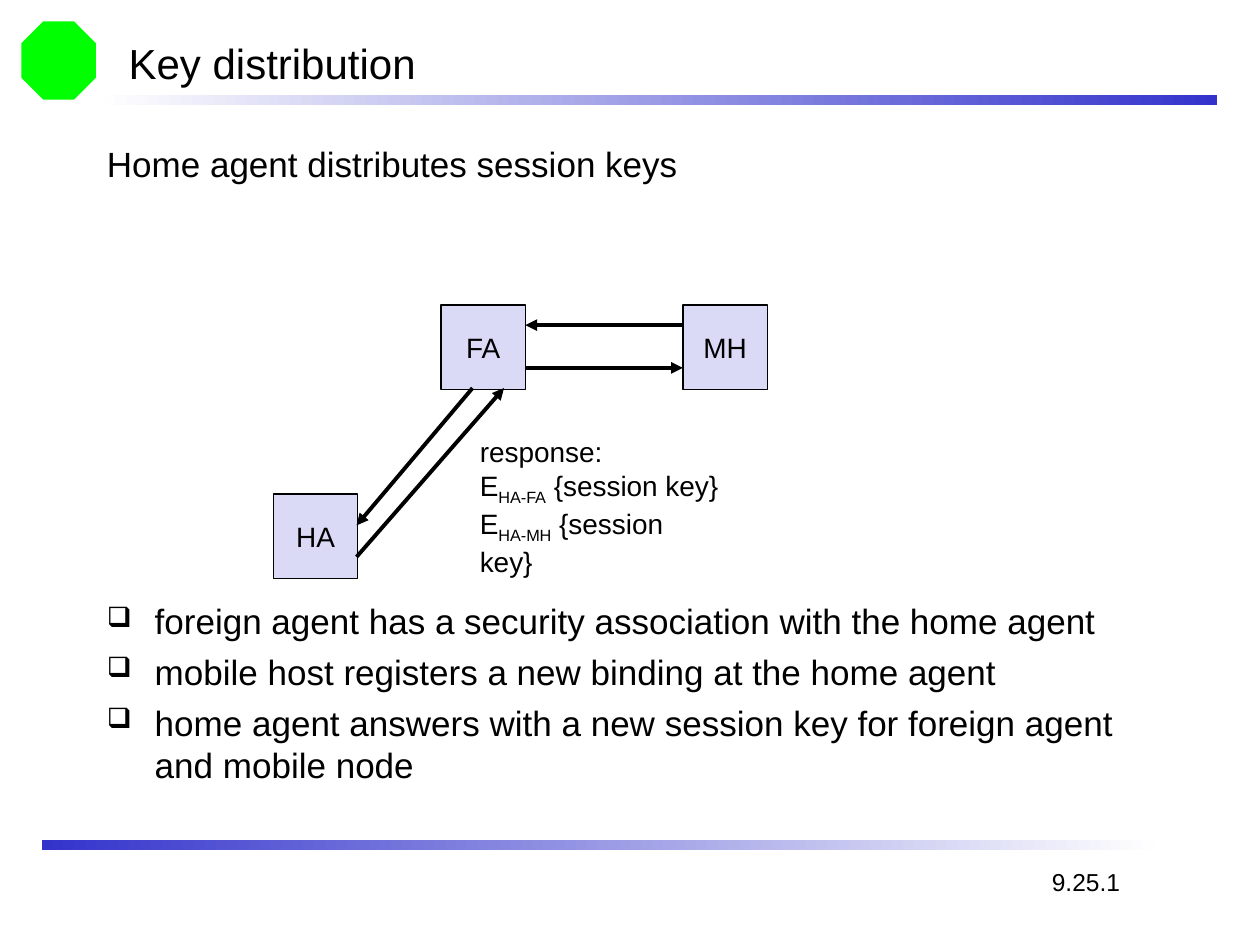
from lxml.etree import SubElement
from pptx import Presentation
from pptx.dml.color import RGBColor
from pptx.enum.shapes import MSO_CONNECTOR, MSO_SHAPE
from pptx.enum.text import MSO_ANCHOR, PP_ALIGN
from pptx.oxml.ns import qn
from pptx.util import Inches, Pt

BLACK = RGBColor(0x00, 0x00, 0x00)
GREEN = RGBColor(0x00, 0xFF, 0x00)
BLUE = RGBColor(0x33, 0x33, 0xCC)
PALE = RGBColor(0xFE, 0xFE, 0xFE)
LAVENDER = RGBColor(0xDA, 0xDA, 0xF6)

TITLE = "Key distribution"
INTRO = "Home agent distributes session keys"
BULLETS = [
    "foreign agent has a security association with the home agent",
    "mobile host registers a new binding at the home agent",
    "home agent answers with a new session key for foreign agent and mobile node",
]
RESPONSE = "response:"
KEY_LINKS = ["HA-FA", "HA-MH"]
PAGE_NUMBER = "9.25.1"

# left, top, left colour, right colour
BARS = [(0.83, 0.75, PALE, BLUE), (0.33, 6.67, BLUE, PALE)]
NODE_SIZE = 0.67
NODES = {"FA": (3.5, 2.42), "MH": (5.42, 2.42), "HA": (2.17, 3.92)}
# start, end (the arrowhead is at the end)
ARROWS = [
    ((3.75, 3.08), (2.83, 4.17)),
    ((2.83, 4.42), (4, 3.08)),
    ((5.42, 2.58), (4.17, 2.58)),
    ((4.17, 2.92), (5.42, 2.92)),
]


def inches(*lengths):
    return [Inches(length) for length in lengths]


def set_font(font, size):
    for name, value in {"name": "Arial", "size": Pt(size)}.items():
        setattr(font, name, value)
    font.color.rgb = BLACK


def add_shape(kind, place, fill_color=None):
    shape = slide.shapes.add_shape(kind, *inches(*place))
    shape.shadow.inherit = False
    shape.line.fill.background()
    if fill_color is not None:
        shape.fill.solid()
        shape.fill.fore_color.rgb = fill_color
    return shape


def add_text(place, lines, size, wrap=False):
    frame = slide.shapes.add_textbox(*inches(*place)).text_frame
    frame.word_wrap = wrap
    for index, line in enumerate(lines):
        para = frame.paragraphs[0] if index == 0 else frame.add_paragraph()
        para.text = line
        set_font(para.font, size)
    return frame


def add_bullet(para):
    props = para._p.get_or_add_pPr()
    props.set("marL", str(Inches(0.38)))
    props.set("indent", str(Inches(-0.38)))
    SubElement(props, qn("a:buSzPct")).set("val", "80000")
    SubElement(props, qn("a:buChar")).set("char", "❑")


def add_bar(left, top, left_color, right_color):
    bar = add_shape(MSO_SHAPE.RECTANGLE, (left, top, 8.83, 0.08))
    bar.fill.gradient()
    bar.fill.gradient_angle = 0
    for stop, color in zip(bar.fill.gradient_stops, (left_color, right_color)):
        stop.color.rgb = color


def add_node(label, left, top):
    node = add_shape(MSO_SHAPE.RECTANGLE, (left, top, NODE_SIZE, NODE_SIZE), LAVENDER)
    node.line.color.rgb = BLACK
    node.line.width = Pt(0.75)
    frame = node.text_frame
    frame.word_wrap = False
    frame.vertical_anchor = MSO_ANCHOR.MIDDLE
    para = frame.paragraphs[0]
    para.text = label
    para.alignment = PP_ALIGN.CENTER
    set_font(para.font, 16)


def add_arrow(start, end):
    arrow = slide.shapes.add_connector(MSO_CONNECTOR.STRAIGHT, *inches(*start, *end))
    arrow.line.color.rgb = BLACK
    arrow.line.width = Pt(2.25)
    SubElement(arrow.line._get_or_add_ln(), qn("a:tailEnd")).set("type", "triangle")
    SubElement(arrow._element.spPr, qn("a:effectLst"))


deck = Presentation()
deck.slide_width, deck.slide_height = inches(10, 7.5)
slide = deck.slides.add_slide(deck.slide_layouts[5])

add_shape(MSO_SHAPE.OCTAGON, (0.17, 0.17, 0.59, 0.62), GREEN)
for bar_values in BARS:
    add_bar(*bar_values)

title = slide.shapes.title
title.left, title.top, title.width, title.height = inches(0.92, 0.25, 8.5, 0.5)
title.text_frame.text = TITLE
title.text_frame.vertical_anchor = MSO_ANCHOR.MIDDLE
heading = title.text_frame.paragraphs[0]
heading.alignment = PP_ALIGN.LEFT
set_font(heading.font, 24)

add_text((0.75, 1.08, 8.5, 0.45), [INTRO], 20, wrap=True)
bullet_frame = add_text((0.75, 4.71, 8.5, 1.95), BULLETS, 20, wrap=True)
for index, para in enumerate(bullet_frame.paragraphs):
    if index > 0:
        para.space_before = Pt(5)
    add_bullet(para)
    # the text properties stay last, after the bullet
    set_font(para.font, 20)
    props = para._p.pPr
    props.append(props.find(qn("a:defRPr")))

for label, (left, top) in NODES.items():
    add_node(label, left, top)
for start, end in ARROWS:
    add_arrow(start, end)

response_frame = add_text((3.71, 3.4, 2.13, 1.24), [RESPONSE], 16)
for link in KEY_LINKS:
    para = response_frame.add_paragraph()
    set_font(para.font, 16)
    for text in ("E", link, " {session key}"):
        span = para.add_run()
        span.text = text
        if text == link:
            span.font._element.set("baseline", "-25000")

add_text((8.25, 6.83, 0.74, 0.34), [PAGE_NUMBER], 14)

deck.save("out.pptx")
